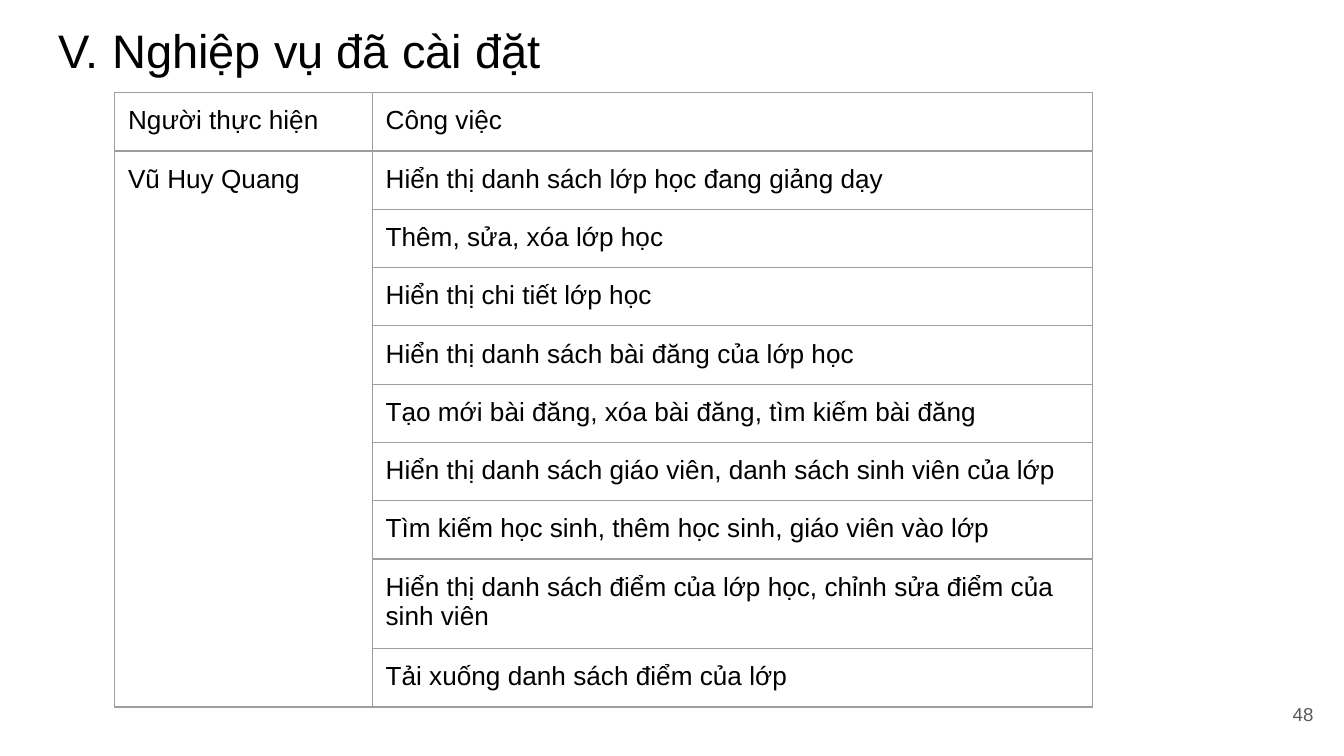
from lxml import etree
from pptx import Presentation
from pptx.dml.color import RGBColor
from pptx.enum.text import MSO_ANCHOR, PP_ALIGN
from pptx.oxml.ns import qn
from pptx.util import Pt

TOP, MIDDLE = MSO_ANCHOR.TOP, MSO_ANCHOR.MIDDLE
LEFT, RIGHT = PP_ALIGN.LEFT, PP_ALIGN.RIGHT
COLORS = {"text": "000000", "number": "595959", "border": "9E9E9E"}
FONT = "Arial"
INSET = Pt(7.2)

HEADERS = ["Người thực hiện", "Công việc"]
PERSON = "Vũ Huy Quang"
TASKS = [
    "Hiển thị danh sách lớp học đang giảng dạy",
    "Thêm, sửa, xóa lớp học",
    "Hiển thị chi tiết lớp học",
    "Hiển thị danh sách bài đăng của lớp học",
    "Tạo mới bài đăng, xóa bài đăng, tìm kiếm bài đăng",
    "Hiển thị danh sách giáo viên, danh sách sinh viên của lớp",
    "Tìm kiếm học sinh, thêm học sinh, giáo viên vào lớp",
    "Hiển thị danh sách điểm của lớp học, chỉnh sửa điểm của sinh viên",
    "Tải xuống danh sách điểm của lớp",
]
COL_WIDTHS = [138, 386]
ROW_HEIGHTS = [31] * 2 + [30.15] * 6 + [46, 30.15]


def write_text(tf, text, size=14, color="text", align=LEFT):
    """Write one formatted paragraph into a text frame."""
    tf.word_wrap = True
    p = tf.paragraphs[0]
    p.alignment = align
    r = p.add_run()
    r.text = text
    r.font.size = Pt(size)
    r.font.name = FONT
    r.font.color.rgb = RGBColor.from_string(COLORS[color])


def set_insets(target):
    """Give a cell or text frame equal margins."""
    for side in ("left", "right", "top", "bottom"):
        setattr(target, f"margin_{side}", INSET)


def add_label(slide, box, text, anchor=TOP, **fmt):
    """Add a text box in the given box."""
    tf = slide.shapes.add_textbox(*map(Pt, box)).text_frame
    set_insets(tf)
    tf.vertical_anchor = anchor
    write_text(tf, text, **fmt)


def style_cell(cell):
    """Give a cell thin borders, no fill and even margins."""
    tc_pr = cell._tc.get_or_add_tcPr()
    for tag in ("a:lnL", "a:lnR", "a:lnT", "a:lnB"):
        ln = etree.SubElement(tc_pr, qn(tag), w=str(Pt(0.75)))
        fill = etree.SubElement(ln, qn("a:solidFill"))
        etree.SubElement(fill, qn("a:srgbClr"), val=COLORS["border"])
    cell.fill.background()
    cell.vertical_anchor = TOP
    set_insets(cell)


def add_task_table(slide, left, top):
    """Add the table of tasks done by one person."""
    box = (left, top, sum(COL_WIDTHS), sum(ROW_HEIGHTS))
    shape = slide.shapes.add_table(
        len(ROW_HEIGHTS), len(COL_WIDTHS), *map(Pt, box))
    table = shape.table
    table.first_row = table.horz_banding = False
    for col, width in zip(table.columns, COL_WIDTHS):
        col.width = Pt(width)
    for row, height in zip(table.rows, ROW_HEIGHTS):
        row.height = Pt(height)
    for cell in table.iter_cells():
        style_cell(cell)
    table.cell(1, 0).merge(table.cell(len(TASKS), 0))
    for col, text in enumerate(HEADERS):
        write_text(table.cell(0, col).text_frame, text)
    write_text(table.cell(1, 0).text_frame, PERSON)
    for row, text in enumerate(TASKS, 1):
        write_text(table.cell(row, 1).text_frame, text)


def main():
    """Build and save the slide."""
    prs = Presentation()
    prs.slide_width, prs.slide_height = Pt(720), Pt(405)
    slide = prs.slides.add_slide(prs.slide_layouts[6])
    add_label(slide, (24.5, 4.5, 671, 45), "V. Nghiệp vụ đã cài đặt", size=25.2)
    add_task_table(slide, 61.4, 49.6)
    add_label(slide, (667.5, 367.2, 43.2, 31), "48", anchor=MIDDLE,
              size=10, color="number", align=RIGHT)
    prs.save("out.pptx")


if __name__ == "__main__":
    main()
